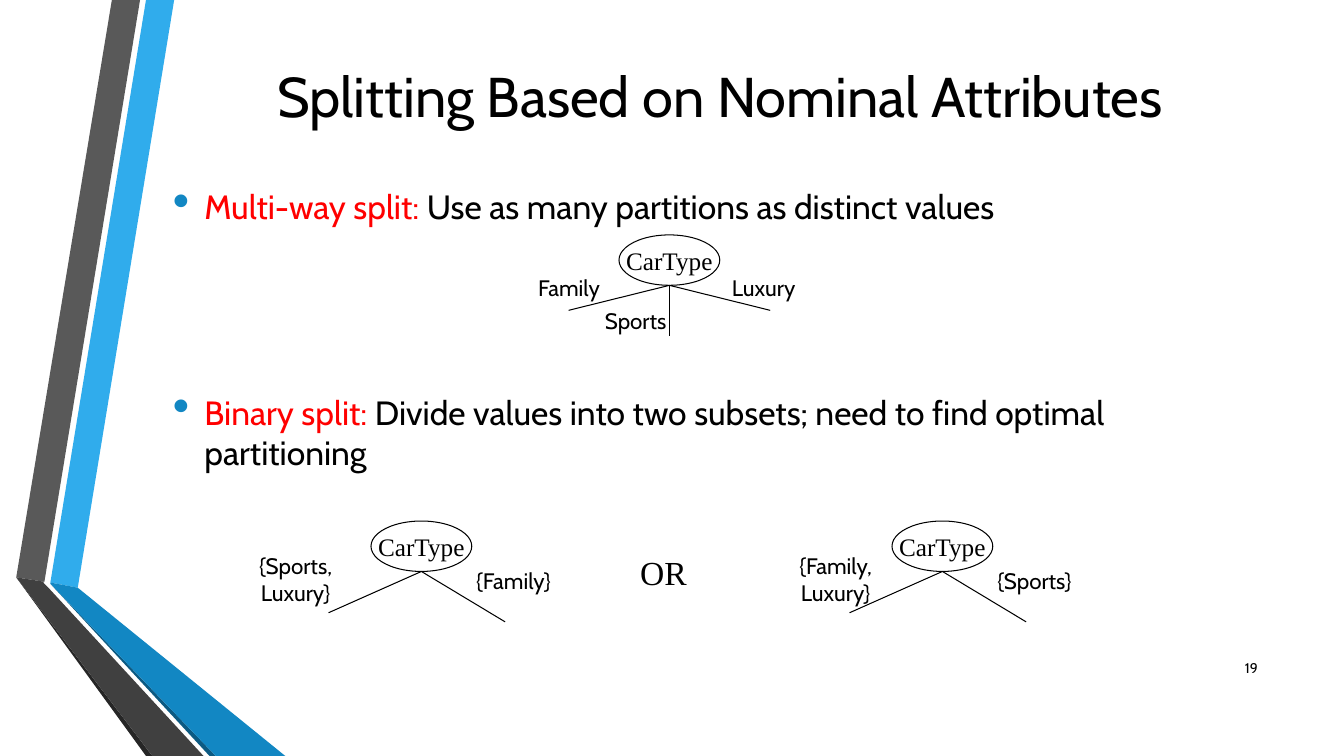
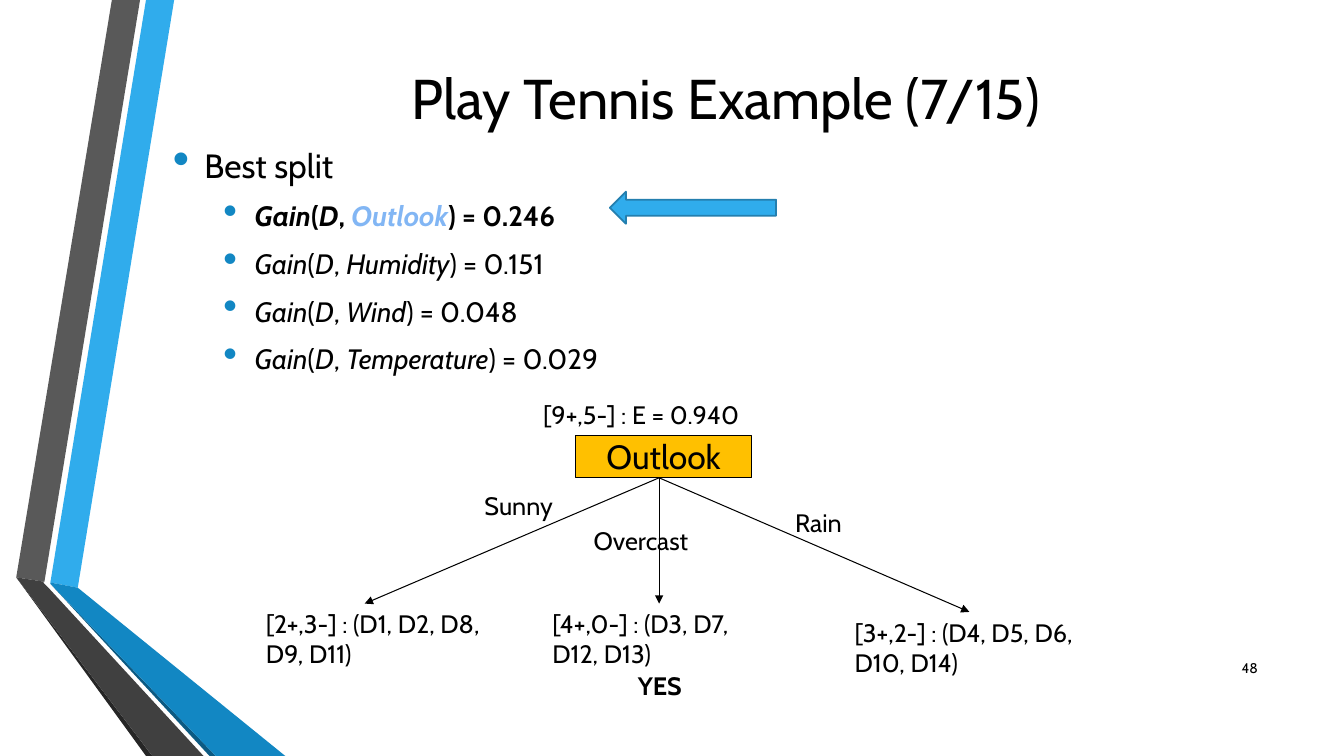
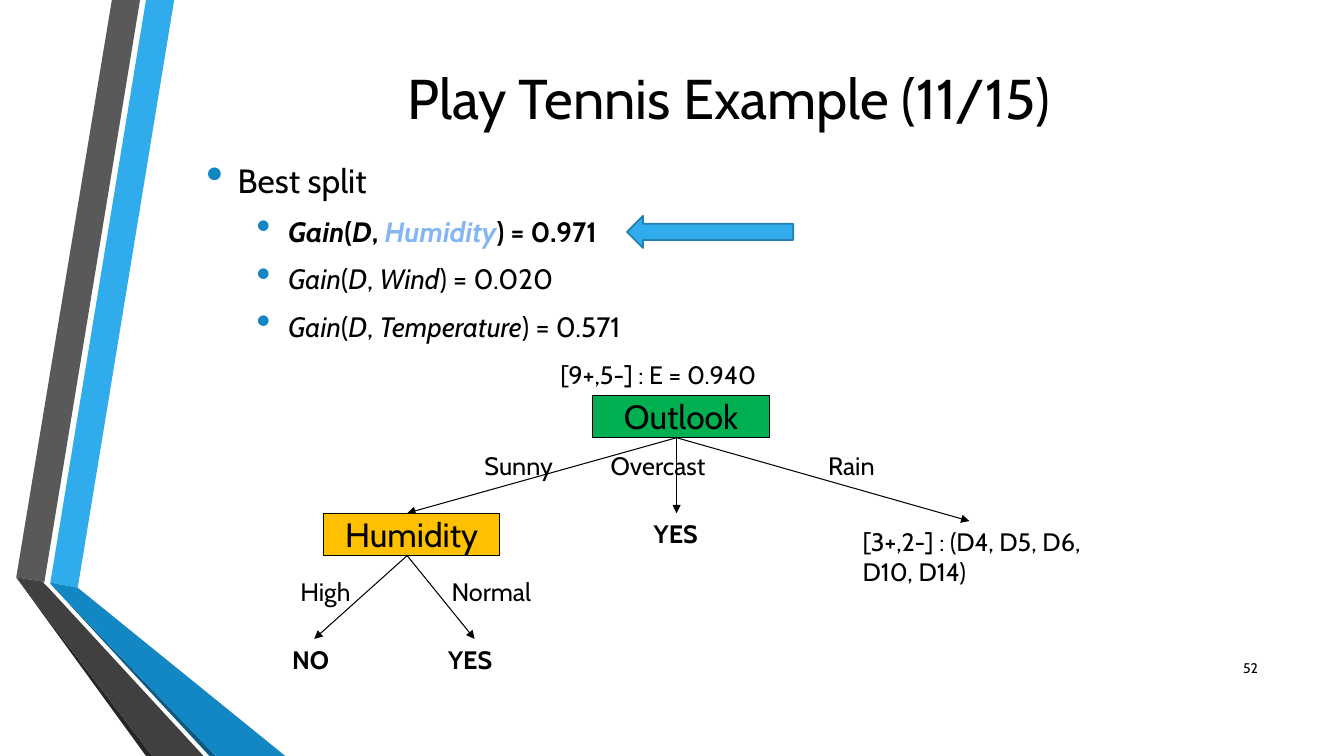
from pptx import Presentation
from pptx.dml.color import RGBColor
from pptx.enum.shapes import MSO_CONNECTOR, MSO_SHAPE
from pptx.enum.text import MSO_ANCHOR, PP_ALIGN
from pptx.oxml.ns import qn
from pptx.oxml.xmlchemy import OxmlElement
from pptx.util import Cm, Pt

BLACK, WHITE, RED = "000000", "FFFFFF", "FF0000"
SKY, OCEAN, SKY_EDGE, HIGHLIGHT = "30ACEC", "1287C3", "247FAF", "82B6F4"
AMBER, GREEN = "FFC000", "00B050"
SANS, SERIF = "Cabin", "Times New Roman"
BANDS = [
    (SKY, [(1.27, 14.68), (1.96, 14.81), (4.39, 0), (3.68, 0)]),
    ("595959", [(3.53, 0), (2.82, 0), (0.41, 14.55), (1.12, 14.66)]),
    ("262626", [(0.41, 14.55), (3.68, 19.05), (3.84, 19.05)]),
    ("0C5A82", [(1.27, 14.71), (5.28, 19.05), (5.44, 19.05)]),
    (OCEAN, [(1.27, 14.71), (5.44, 19.05), (7.19, 19.05), (1.96, 14.81), (1.27, 14.68)]),
    ("404040", [(5.13, 19.05), (1.22, 14.81), (1.09, 14.68), (1.12, 14.66),
                (0.41, 14.55), (3.84, 19.05)]),
]


def color(value):
    """Turn a hex string into a colour."""
    return RGBColor.from_string(value)


def place(left, top, width, height):
    """Turn four centimetre values into lengths."""
    return Cm(left), Cm(top), Cm(width), Cm(height)


class Slides:
    """Holds the shared style and the slide being built."""

    def __init__(self):
        """Start a widescreen deck."""
        self.deck = Presentation()
        self.deck.slide_width, self.deck.slide_height = Cm(33.87), Cm(19.05)
        self.layout = self.deck.slide_layouts[5]
        self.slide = None

    def start(self, title, number, left, top=0):
        """Add a slide with its title and page number."""
        self.slide = self.deck.slides.add_slide(self.layout)
        if len(self.deck.slides) == 1:
            self.bands()
        box = self.slide.shapes.title
        box.left, box.top, box.width, box.height = place(left, top, 27.84, 4.88)
        self.set_text(box, title, 40, PP_ALIGN.CENTER)
        self.label(number, 30.43, 16.31, 1.52, 1.02, size=10,
                   align=PP_ALIGN.RIGHT, anchor=MSO_ANCHOR.MIDDLE)

    def bands(self):
        """Put the ribbon into the layout all slides share."""
        tree = self.layout.shapes.element
        for position, (fill, points) in enumerate(BANDS, 2):
            corners = [(Cm(x), Cm(y)) for x, y in points]
            builder = self.slide.shapes.build_freeform(*corners[0])
            builder.add_line_segments(corners[1:], close=True)
            band = builder.convert_to_shape()
            self.paint(band, fill)
            tree.insert(position, band.element)

    def paint(self, shape, fill, edge=None, weight=0.75):
        """Give a shape a flat fill and an optional outline."""
        shape.shadow.inherit = False
        shape.fill.solid()
        shape.fill.fore_color.rgb = color(fill)
        if edge:
            shape.line.color.rgb = color(edge)
            shape.line.width = Pt(weight)
        else:
            shape.line.fill.background()

    def style(self, span, size, font=SANS, ink=BLACK, bold=False, italic=False):
        """Format one run."""
        span.font.name, span.font.size = font, Pt(size)
        span.font.bold, span.font.italic = bold, italic
        span.font.color.rgb = color(ink)

    def set_text(self, shape, text, size, align, anchor=MSO_ANCHOR.MIDDLE,
                 wrap=True, font=SANS, bold=False):
        """Set the text of a shape in one style."""
        frame = shape.text_frame
        frame.text = text
        frame.word_wrap, frame.vertical_anchor = wrap, anchor
        for para in frame.paragraphs:
            para.alignment = align
            for span in para.runs:
                self.style(span, size, font, bold=bold)

    def label(self, text, left, top, width=2.54, height=1.02, size=18,
              align=PP_ALIGN.LEFT, anchor=MSO_ANCHOR.TOP, **look):
        """Add a text box."""
        box = self.slide.shapes.add_textbox(*place(left, top, width, height))
        self.set_text(box, text, size, align, anchor, **look)

    def tag(self, text, left, top, width, height=0.94, wrap=False):
        """Add a small centred branch label."""
        self.label(text, left, top, width, height, 16, PP_ALIGN.CENTER,
                   MSO_ANCHOR.MIDDLE, wrap=wrap)

    def leaf(self, text, left, top, width):
        """Add a bold class at the end of a branch."""
        self.label(text, left, top, width, align=PP_ALIGN.CENTER, bold=True)

    def bullets(self, items, left, top, height):
        """Add a bullet list of (level, space before, styled parts)."""
        box = self.slide.shapes.add_textbox(*place(left, top, 27.84, height))
        frame = box.text_frame
        frame.word_wrap = True
        for index, (level, before, parts) in enumerate(items):
            para = frame.add_paragraph() if index else frame.paragraphs[0]
            para.level = level
            para.space_before, para.space_after = Pt(before), Pt(6)
            for text, look in parts:
                span = para.add_run()
                span.text = text
                self.style(span, 20 if level else 24, **look)
            self.bullet(para, 2.06 if level else 0.79)

    def bullet(self, para, indent):
        """Give a paragraph a hanging blue dot."""
        properties = para._p.get_or_add_pPr()
        properties.set("marL", str(Cm(indent)))
        properties.set("indent", str(Cm(-0.79)))
        tint, size, dot = map(OxmlElement, ("a:buClr", "a:buSzPct", "a:buChar"))
        shade = OxmlElement("a:srgbClr")
        shade.set("val", OCEAN)
        tint.append(shade)
        size.set("val", "145000")
        dot.set("char", "•")
        properties.extend([tint, size, dot])

    def gains(self, rows, left, top, height):
        """List the gain of each attribute, the best one first."""
        items = [(0, 0, [("Best split", {})])]
        for index, (attribute, value) in enumerate(rows):
            bold = index == 0
            upright = {"bold": bold}
            slanted = {"bold": bold, "italic": True}
            ink = HIGHLIGHT if bold else BLACK
            items.append((1, 4, [
                ("Gain", slanted), ("(", upright), ("D", slanted), (", ", upright),
                (attribute, {**slanted, "ink": ink}), (f") = {value}", upright)]))
        self.bullets(items, left, top, height)

    def branches(self, start, ends, arrow=False):
        """Draw lines from one point to several ends."""
        for end in ends:
            line = self.slide.shapes.add_connector(
                MSO_CONNECTOR.STRAIGHT, *map(Cm, (*start, *end)))
            line.line.color.rgb = color(BLACK)
            line.line.width = Pt(0.75)
            properties = line.element.spPr
            if arrow:
                tail = OxmlElement("a:tailEnd")
                tail.set("type", "triangle")
                properties.find(qn("a:ln")).append(tail)
            properties.append(OxmlElement("a:effectLst"))

    def car_type(self, left, top, ends):
        """Draw the CarType ellipse with its branches."""
        node = self.slide.shapes.add_shape(MSO_SHAPE.OVAL, *place(left, top, 2.54, 1.27))
        self.paint(node, WHITE, BLACK)
        self.set_text(node, "CarType", 18, PP_ALIGN.CENTER, wrap=False, font=SERIF)
        self.branches((left + 1.27, top + 1.27), ends)

    def decision(self, text, left, top, fill, ends):
        """Draw an attribute box with arrows to its branches."""
        node = self.slide.shapes.add_shape(MSO_SHAPE.RECTANGLE, *place(left, top, 4.45, 1.07))
        self.paint(node, fill, BLACK)
        self.set_text(node, text, 24, PP_ALIGN.CENTER, wrap=False)
        self.branches((left + 2.11, top + 1.07), ends, arrow=True)

    def pointer(self, left, top):
        """Draw the block arrow that marks the best split."""
        arrow = self.slide.shapes.add_shape(MSO_SHAPE.LEFT_ARROW, *place(left, top, 4.19, 0.81))
        self.paint(arrow, SKY, SKY_EDGE, 1.25)


def nominal_attributes(slides):
    """Build the slide on multi-way and binary splits."""
    slides.start("Splitting Based on Nominal Attributes", "19", 4.22, -0.05)
    slides.bullets([
        (0, 0, [("Multi-way split:", {"ink": RED}),
                (" Use as many partitions as distinct values", {})]),
        (0, 112, [("Binary split:", {"ink": RED}),
                  (" Divide values into two subsets; need to find optimal partitioning", {})]),
    ], 4.11, 4.57, 11.5)
    slides.car_type(15.6, 5.92, [(14.33, 7.82), (16.87, 8.46), (19.41, 7.82)])
    slides.tag("Family", 13.26, 6.78, 2.16)
    slides.tag("Sports", 14.99, 7.62, 2.06)
    slides.tag("Luxury", 18.14, 6.78, 2.21)
    for left, pair, pair_left, single in [
            (9.35, "{Sports, Luxury}", 6.15, "{Family}"),
            (22.48, "{Family, Luxury}", 19.76, "{Sports}")]:
        slides.car_type(left, 13.13, [(left - 1.07, 15.44), (left + 3.38, 15.67)])
        slides.tag(pair, pair_left, 13.77, 2.6, 1.63, wrap=True)
        slides.tag(single, left + 2.37, 14.17, 2.44)
    slides.label("OR", 15.88, 13.77, 1.68, 1.27, 24, PP_ALIGN.CENTER,
                 MSO_ANCHOR.MIDDLE, wrap=False, font=SERIF)


def first_split(slides):
    """Build the slide that splits on Outlook."""
    slides.start("Play Tennis Example (7/15)", "48", 4.37)
    slides.gains([("Outlook", "0.246"), ("Humidity", "0.151"), ("Wind", "0.048"),
                  ("Temperature", "0.029")], 4.11, 3.52, 7.66)
    slides.pointer(15.37, 4.83)
    slides.label("[9+,5-] : E = 0.940", 13.44, 9.93, 6.15)
    slides.decision("Outlook", 14.5, 10.97, AMBER,
                    [(9.19, 15.21), (16.61, 15.21), (24.43, 15.42)])
    slides.label("Sunny", 11.96, 12.24)
    slides.label("Overcast", 14.71, 13.11, 2.97)
    slides.label("Rain", 19.79, 12.67)
    slides.label("[2+,3-] : (D1, D2, D8, D9, D11)", 6.45, 15.21, 6.15, 1.78)
    slides.label("[4+,0-] : (D3, D7, D12, D13)", 13.67, 15.21, 5.92, 1.78)
    slides.label("[3+,2-] : (D4, D5, D6, D10, D14)", 21.29, 15.42, 6.15, 1.78)
    slides.leaf("YES", 13.67, 16.76, 5.92)


def second_split(slides):
    """Build the slide that splits the sunny branch on Humidity."""
    slides.start("Play Tennis Example (11/15)", "52", 4.45)
    slides.gains([("Humidity", "0.971"), ("Wind", "0.020"), ("Temperature", "0.571")],
                 4.95, 3.9, 7.33)
    slides.pointer(15.8, 5.44)
    slides.label("[9+,5-] : E = 0.940", 13.87, 8.92, 6.15)
    slides.decision("Outlook", 14.94, 9.96, GREEN,
                    [(10.26, 12.93), (17.05, 12.93), (24.43, 13.13)])
    slides.label("Sunny", 11.96, 11.23)
    slides.label("Overcast", 15.14, 11.23, 2.97)
    slides.label("Rain", 20.62, 11.23)
    slides.leaf("YES", 14.07, 12.93, 5.92)
    slides.label("[3+,2-] : (D4, D5, D6, D10, D14)", 21.49, 13.13, 6.15, 1.78)
    slides.decision("Humidity", 8.15, 12.93, AMBER, [(7.92, 16.1), (11.96, 16.1)])
    slides.label("High", 7.32, 14.4)
    slides.label("Normal", 11.13, 14.4)
    slides.leaf("NO", 6.88, 16.1, 1.9)
    slides.leaf("YES", 10.9, 16.1, 1.9)


def main():
    """Build and save the deck."""
    slides = Slides()
    for build in (nominal_attributes, first_split, second_split):
        build(slides)
    slides.deck.save("out.pptx")


if __name__ == "__main__":
    main()
